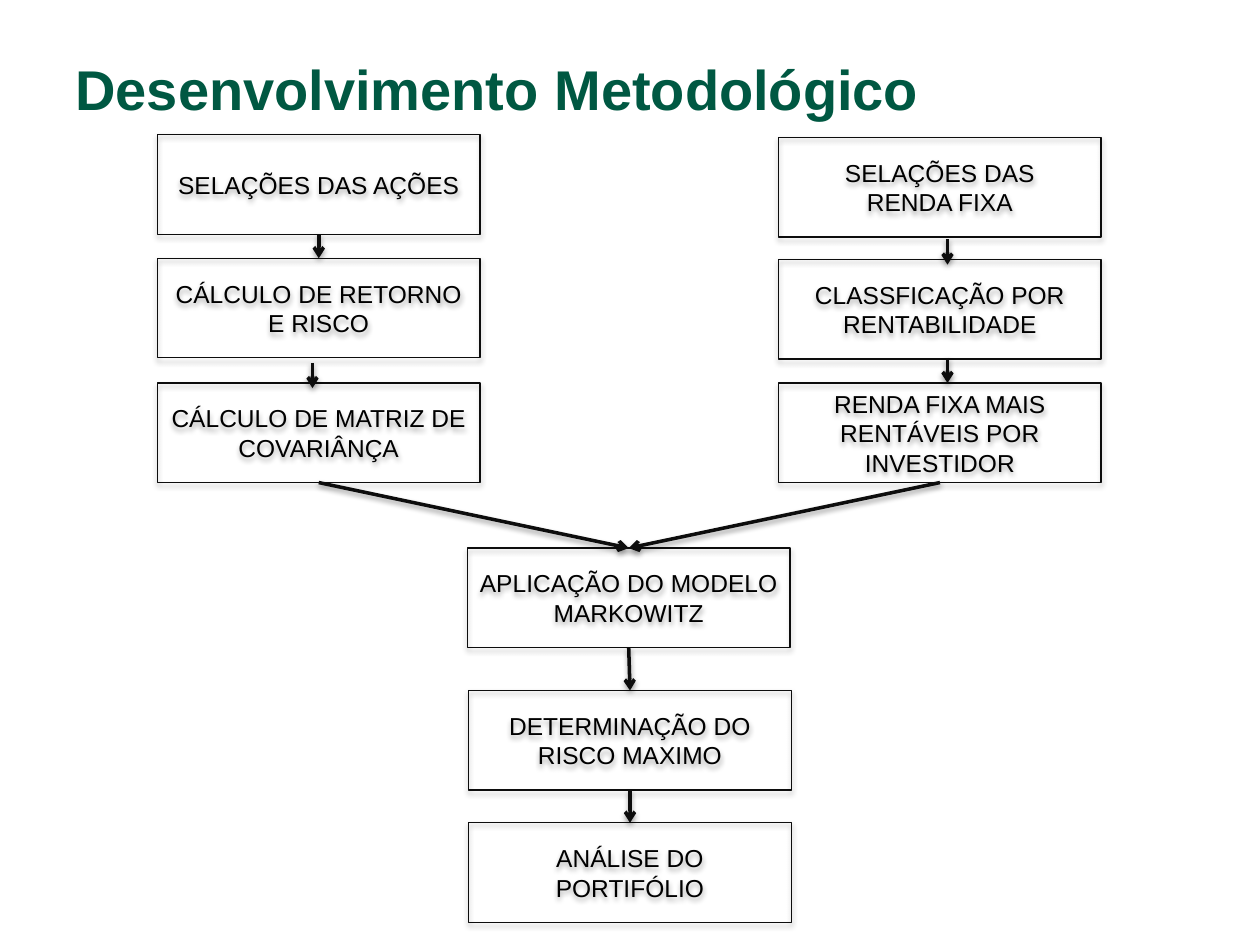
import pptx
import pptx.dml.color
import pptx.enum.shapes
import pptx.enum.text
import pptx.oxml
import pptx.oxml.ns
import pptx.util
from pptx.util import Inches

INK = "0D0D0D"
WIDE, HIGH = 2.56, 0.79
BOTTOM, TOP = 2, 0


def color(code):
    return pptx.dml.color.RGBColor.from_string(code)


def node(text):
    return pptx.oxml.parse_xml(
        text.replace(" ", " " + pptx.oxml.ns.nsdecls("a") + " ", 1))


class Flow:
    font = "Arial"

    def __init__(self, slide):
        self.slide = slide

    def label(self, frame, lines, size, code, bold=False, align=None):
        frame.word_wrap = True
        frame.text = "\n".join(lines)
        for para in frame.paragraphs:
            para.alignment = align
            para.font.name = self.font
            para.font.size = pptx.util.Pt(size)
            para.font.bold = bold
            para.font.color.rgb = color(code)

    def shade(self, props, dist, alpha):
        props.append(node(
            '<a:effectLst ><a:outerShdw blurRad="40000" '
            f'dist="{dist}" dir="5400000" rotWithShape="0">'
            f'<a:srgbClr val="000000"><a:alpha val="{alpha}"/></a:srgbClr>'
            '</a:outerShdw></a:effectLst>'))

    def title(self, text):
        box = self.slide.shapes.add_textbox(
            Inches(0.5), Inches(0.33), Inches(9), Inches(1))
        box.text_frame.margin_top = Inches(0.1)
        self.label(box.text_frame, [text], 32, "005842", bold=True,
                   align=pptx.enum.text.PP_ALIGN.LEFT)

    def step(self, left, top, *lines):
        box = self.slide.shapes.add_shape(
            pptx.enum.shapes.MSO_SHAPE.RECTANGLE,
            Inches(left), Inches(top), Inches(WIDE), Inches(HIGH))
        box.fill.background()
        box.line.color.rgb = color(INK)
        box.line.width = pptx.util.Pt(0.75)
        self.shade(box._element.spPr, 23000, 35000)
        box.text_frame.vertical_anchor = pptx.enum.text.MSO_ANCHOR.MIDDLE
        self.label(box.text_frame, lines, 14, "000000",
                   align=pptx.enum.text.PP_ALIGN.CENTER)
        return box

    def arrow(self, x=0, y=0, drop=0.2):
        line = self.slide.shapes.add_connector(
            pptx.enum.shapes.MSO_CONNECTOR.STRAIGHT,
            Inches(x), Inches(y), Inches(x), Inches(y + drop))
        line.line.color.rgb = color(INK)
        line.line.width = pptx.util.Pt(2)
        props = line._element.spPr
        props.find(pptx.oxml.ns.qn("a:ln")).append(
            node('<a:tailEnd type="arrow"/>'))
        self.shade(props, 20000, 38000)
        return line

    def join(self, start, end):
        line = self.arrow()
        line.begin_connect(start, BOTTOM)
        line.end_connect(end, TOP)


def main():
    deck = pptx.Presentation()
    deck.slide_width, deck.slide_height = Inches(10), Inches(7.5)
    flow = Flow(deck.slides.add_slide(deck.slide_layouts[6]))
    flow.title("Desenvolvimento Metodológico")

    # Left branch: shares
    shares = [flow.step(1.25, top, text) for top, text in (
        (1.07, "SELAÇÕES DAS AÇÕES"),
        (2.05, "CÁLCULO DE RETORNO E RISCO"),
        (3.04, "CÁLCULO DE MATRIZ DE COVARIÂNÇA"))]

    # Right branch: fixed income
    bonds = [flow.step(6.18, top, *lines) for top, *lines in (
        (1.09, "SELAÇÕES DAS", "RENDA FIXA"),
        (2.06, "CLASSFICAÇÃO POR RENTABILIDADE"),
        (3.04, "RENDA FIXA MAIS RENTÁVEIS POR INVESTIDOR"))]

    # Shared trunk
    model = flow.step(3.71, 4.35, "APLICAÇÃO DO MODELO MARKOWITZ")
    risk = flow.step(3.72, 5.48, "DETERMINAÇÃO DO RISCO MAXIMO")
    review = flow.step(3.72, 6.53, "ANÁLISE DO PORTIFÓLIO")

    # Joined arrows
    for start, end in ((shares[0], shares[1]), (shares[2], model),
                       (bonds[2], model), (model, risk), (risk, review)):
        flow.join(start, end)

    # Free arrows, set off the box centres
    for x, y in ((2.48, 2.88), (7.52, 1.9), (7.52, 2.84)):
        flow.arrow(x, y)

    deck.save("out.pptx")


if __name__ == "__main__":
    main()
